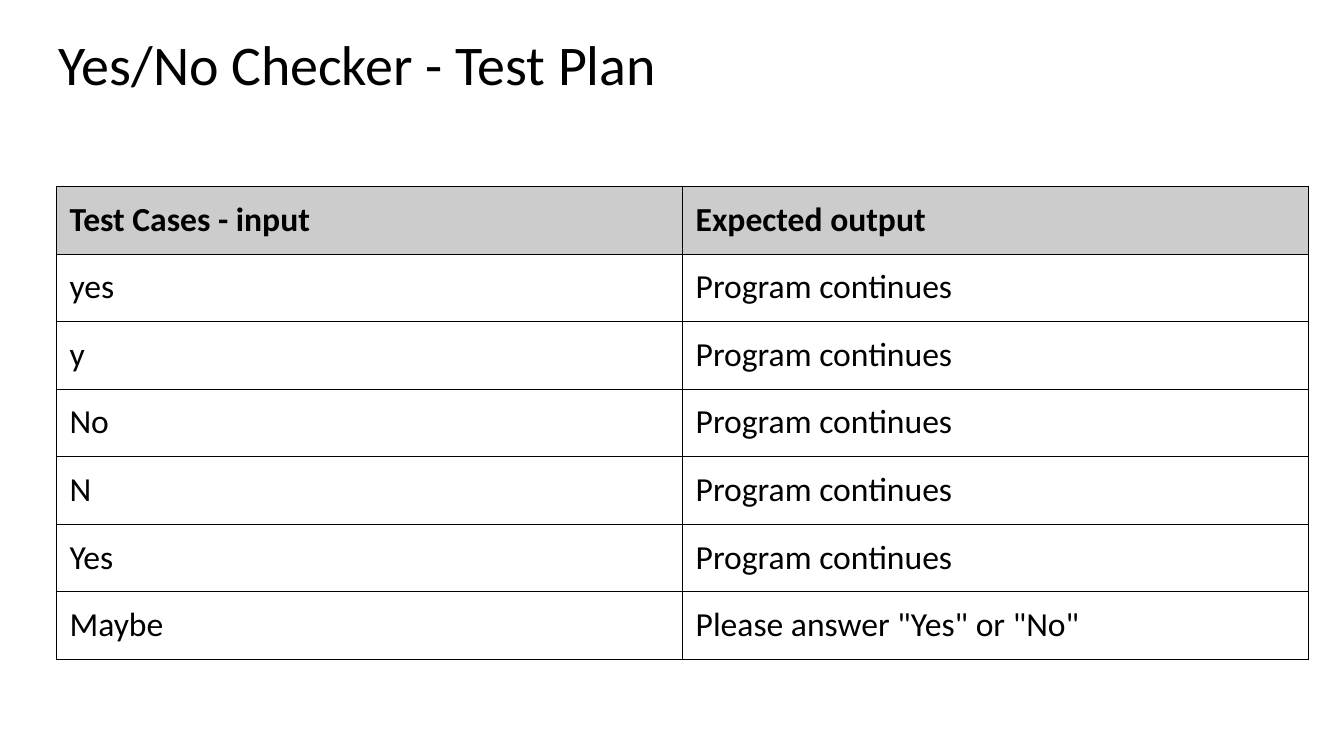
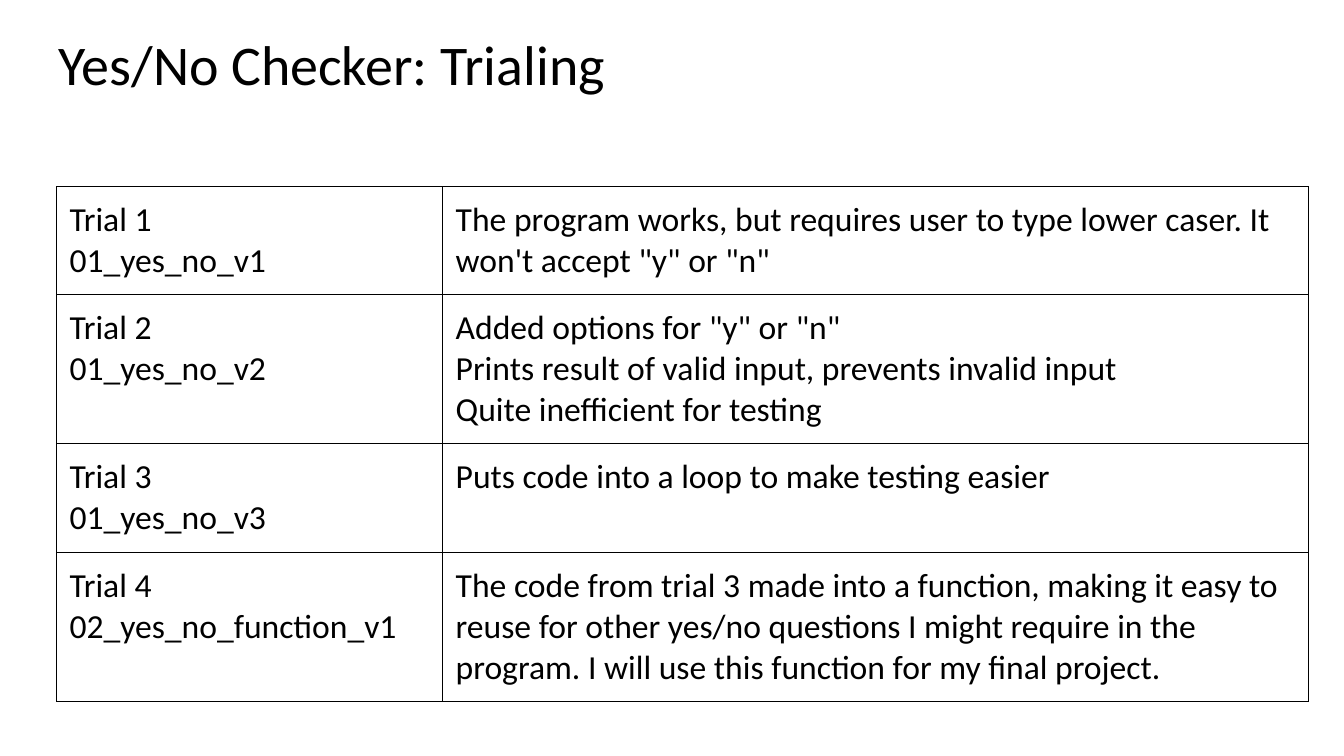
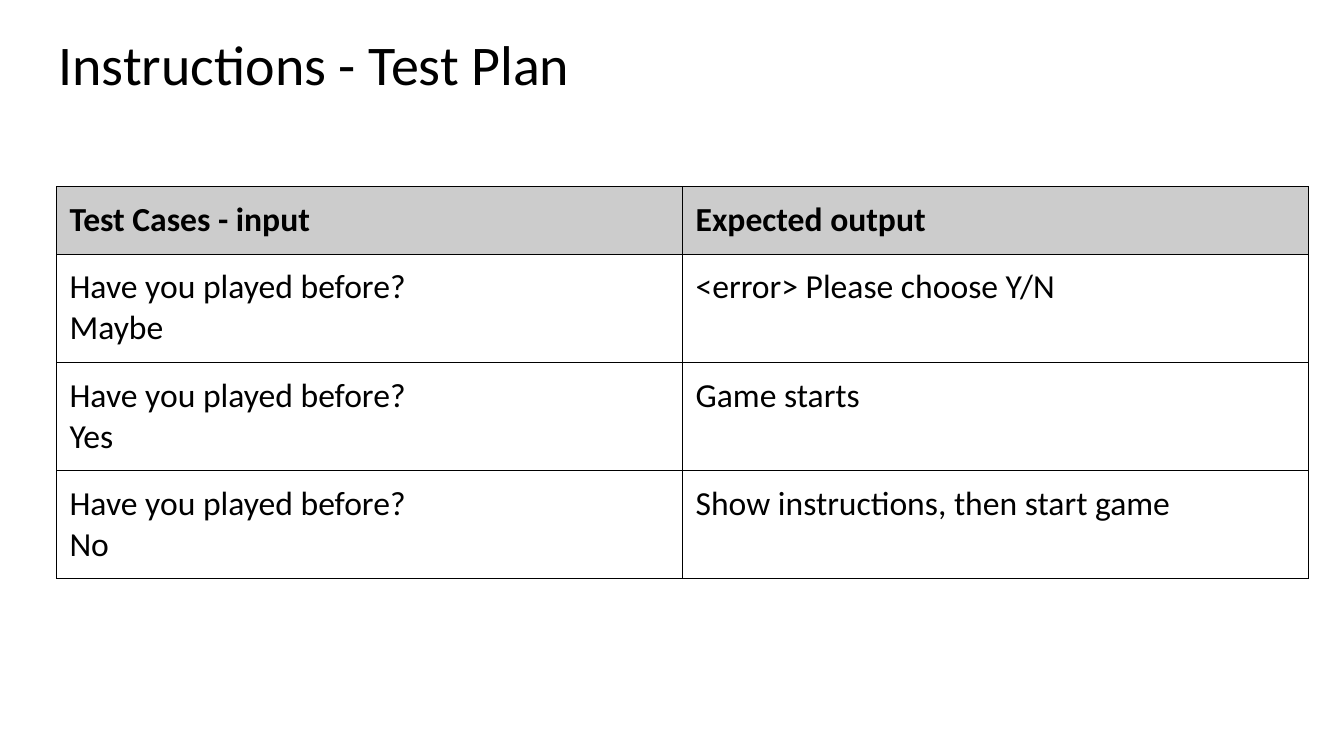
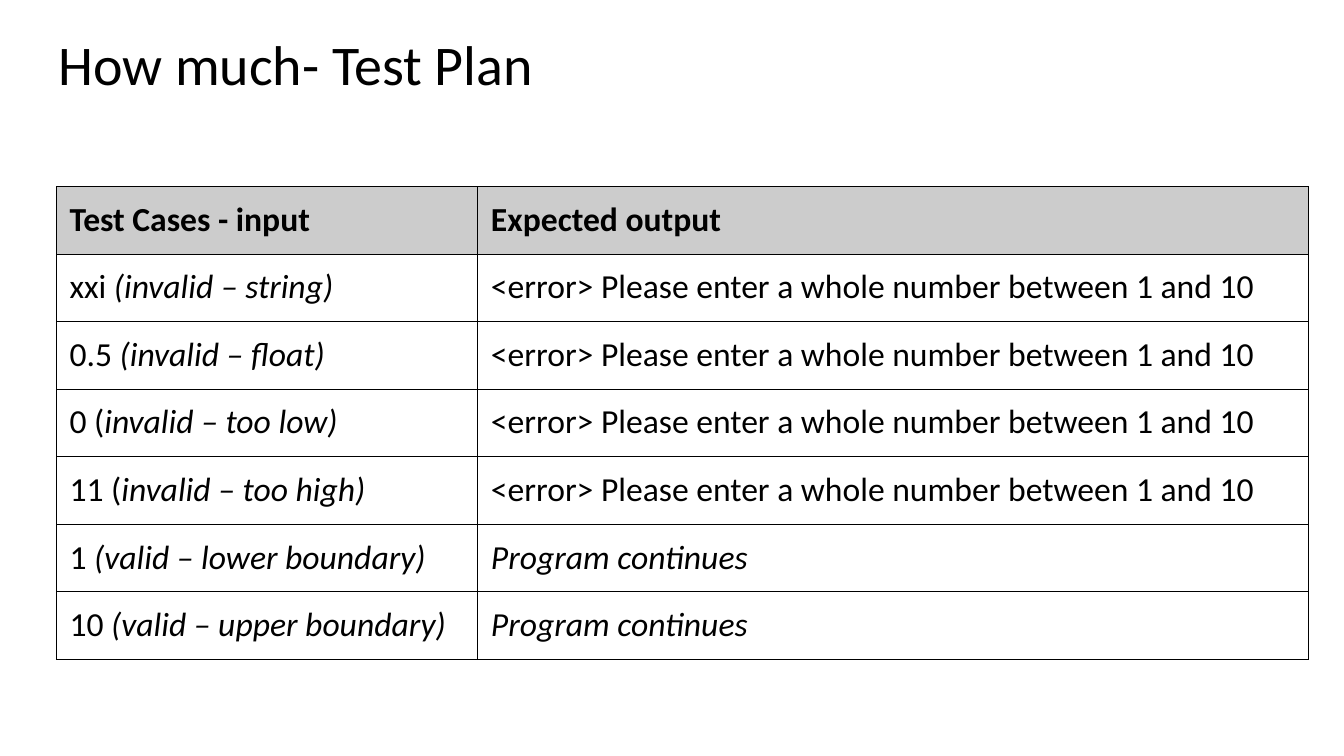
from dataclasses import dataclass

from lxml import etree
from pptx import Presentation
from pptx.dml import color
from pptx.enum import text
from pptx.oxml import ns
from pptx.util import Inches, Pt


@dataclass(frozen=True)
class Theme:
    font: str = "Calibri"
    ink: str = "000000"
    header: str = "CCCCCC"
    title_size: float = 40
    table_size: float = 24
    border: float = 0.75
    inset: float = 0.13


@dataclass(frozen=True)
class Entry:
    plain: str = ""
    note: str = ""


@dataclass(frozen=True)
class TablePage:
    title: str
    columns: tuple[float, float]
    height: float
    rows: list[tuple[Entry, Entry]]
    has_header: bool = True


THEME = Theme()
TITLE_LEFT, TITLE_TOP, TITLE_HEIGHT = 0.45, 0.24, 0.84
TABLE_LEFT, TABLE_TOP, ROW_HEIGHT = 0.56, 1.85, 0.67
CONTENT_WIDTH = 12.42
TITLE_ONLY = 5

HEADER = (Entry("Test Cases - input"), Entry("Expected output"))
CONTINUES = Entry("Program continues")
CONTINUES_NOTE = Entry(note="Program continues")
NUMBER_ERROR = Entry("<error> Please enter a whole number between 1 and 10")
QUESTION = "Have you played before?\n"

PAGES = [
    TablePage("Yes/No Checker - Test Plan", (6.21, 6.21), 4.67, [
        HEADER,
        *[(Entry(answer), CONTINUES) for answer in ("yes", "y", "No", "N", "Yes")],
        (Entry("Maybe"), Entry('Please answer "Yes" or "No"')),
    ]),
    TablePage("Yes/No Checker: Trialing", (3.83, 8.59), 5.07, [
        (Entry("Trial 1\n01_yes_no_v1"),
         Entry("The program works, but requires user to type lower caser. "
               'It won\'t accept "y" or "n"')),
        (Entry("Trial 2\n01_yes_no_v2"),
         Entry('Added options for "y" or "n"\n'
               "Prints result of valid input, prevents invalid input\n"
               "Quite inefficient for testing")),
        (Entry("Trial 3\n01_yes_no_v3"),
         Entry("Puts code into a loop to make testing easier")),
        (Entry("Trial 4\n02_yes_no_function_v1"),
         Entry("The code from trial 3 made into a function, making it easy to "
               "reuse for other yes/no questions I might require in the program. "
               "I will use this function for my final project.")),
    ], has_header=False),
    TablePage("Instructions - Test Plan", (6.21, 6.21), 3.87, [
        HEADER,
        (Entry(QUESTION + "Maybe"), Entry("<error> Please choose Y/N")),
        (Entry(QUESTION + "Yes"), Entry("Game starts")),
        (Entry(QUESTION + "No"), Entry("Show instructions, then start game")),
    ]),
    TablePage("How much- Test Plan", (4.18, 8.24), 4.67, [
        HEADER,
        (Entry("xxi ", "(invalid – string)"), NUMBER_ERROR),
        (Entry("0.5 ", "(invalid – float)"), NUMBER_ERROR),
        (Entry("0 (", "invalid – too low)"), NUMBER_ERROR),
        (Entry("11 (", "invalid – too high)"), NUMBER_ERROR),
        (Entry("1", " (valid – lower boundary)"), CONTINUES_NOTE),
        (Entry("10 ", "(valid – upper boundary)"), CONTINUES_NOTE),
    ]),
]


def set_insets(box) -> None:
    box.margin_left = box.margin_right = Inches(THEME.inset)
    box.margin_top = box.margin_bottom = Inches(THEME.inset)


def format_span(span, size: float, bold: bool = False) -> None:
    span.font.name = THEME.font
    span.font.size = Pt(size)
    span.font.bold = bold
    span.font.color.rgb = color.RGBColor.from_string(THEME.ink)


def add_title(page, wording: str) -> None:
    title = page.shapes.title
    title.left, title.top = Inches(TITLE_LEFT), Inches(TITLE_TOP)
    title.width, title.height = Inches(CONTENT_WIDTH), Inches(TITLE_HEIGHT)
    frame = title.text_frame
    frame.text = wording
    frame.word_wrap = True
    frame.auto_size = text.MSO_AUTO_SIZE.NONE
    frame.vertical_anchor = text.MSO_ANCHOR.TOP
    set_insets(frame)
    para = frame.paragraphs[0]
    para.alignment = text.PP_ALIGN.LEFT
    para.line_spacing = 0.9
    format_span(para.runs[0], THEME.title_size)


def add_borders(cell) -> None:
    properties = cell._tc.get_or_add_tcPr()
    for side in ("a:lnL", "a:lnR", "a:lnT", "a:lnB"):
        line = etree.SubElement(properties, ns.qn(side), w=str(Pt(THEME.border)))
        fill = etree.SubElement(line, ns.qn("a:solidFill"))
        etree.SubElement(fill, ns.qn("a:srgbClr"), val=THEME.ink)


def fill_cell(cell, entry: Entry, is_header: bool) -> None:
    frame = cell.text_frame
    frame.text = entry.plain
    if entry.note:
        note = frame.paragraphs[-1].add_run()
        note.text = entry.note
        note.font.italic = True
    for para in frame.paragraphs:
        for span in para.runs:
            format_span(span, THEME.table_size, is_header)
    set_insets(cell)
    cell.vertical_anchor = text.MSO_ANCHOR.TOP
    add_borders(cell)
    if is_header:
        cell.fill.solid()
        cell.fill.fore_color.rgb = color.RGBColor.from_string(THEME.header)
    else:
        cell.fill.background()


def add_grid(page, content: TablePage) -> None:
    holder = page.shapes.add_table(
        len(content.rows), len(content.columns), Inches(TABLE_LEFT),
        Inches(TABLE_TOP), Inches(CONTENT_WIDTH), Inches(content.height))
    table = holder.table
    table.first_row = content.has_header
    table.horz_banding = False
    for column, width in zip(table.columns, content.columns):
        column.width = Inches(width)
    for index, (row, entries) in enumerate(zip(table.rows, content.rows)):
        row.height = Inches(ROW_HEIGHT)
        for cell, entry in zip(row.cells, entries):
            fill_cell(cell, entry, content.has_header and index == 0)
    holder.height = Inches(content.height)


def main() -> None:
    deck = Presentation()
    deck.slide_width, deck.slide_height = Inches(13.33), Inches(7.5)
    for content in PAGES:
        page = deck.slides.add_slide(deck.slide_layouts[TITLE_ONLY])
        add_title(page, content.title)
        add_grid(page, content)
    deck.save("out.pptx")


if __name__ == "__main__":
    main()
